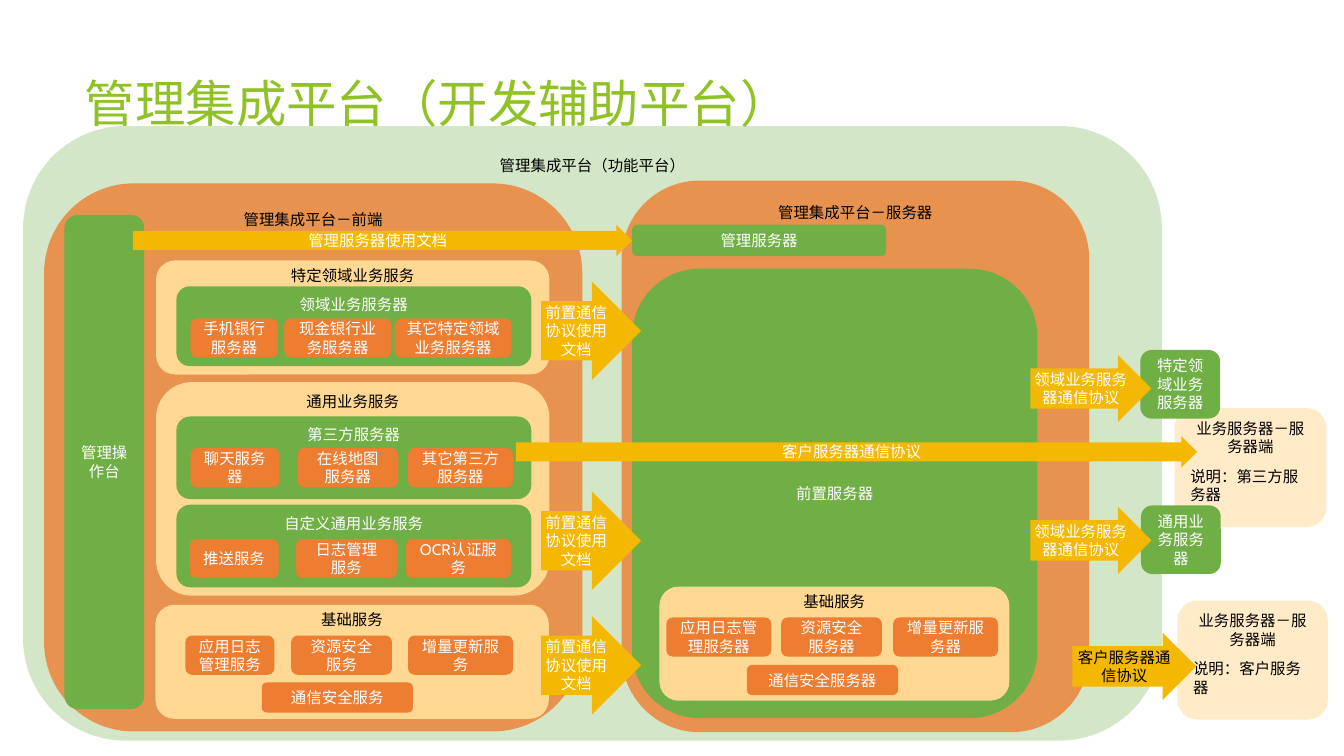
from lxml.etree import SubElement
from pptx import Presentation
from pptx.dml.color import RGBColor
from pptx.enum.shapes import MSO_SHAPE as Shape
from pptx.enum.text import MSO_ANCHOR as Anchor, MSO_AUTO_SIZE as AutoSize, PP_ALIGN as Align
from pptx.oxml.ns import qn
from pptx.util import Pt

FONT = "Cabin"
TITLE = "管理集成平台（开发辅助平台）"
WHITE, BLACK = "FFFFFF", "000000"
GREEN, ORANGE, CREAM, GOLD = "70AE46", "ED7D31", "FFD993", "F4B802"

# style: fill, opacity in percent, text colour, anchor, zero insets
STYLES = {
    "platform": (GREEN, 30, BLACK, Anchor.TOP, True),
    "side": (ORANGE, 80, BLACK, Anchor.TOP, True),
    "panel": (CREAM, 100, BLACK, Anchor.TOP, True),
    "group": (GREEN, 100, WHITE, Anchor.TOP, False),
    "server": (GREEN, 100, WHITE, Anchor.MIDDLE, False),
    "external": (CREAM, 50, BLACK, Anchor.TOP, False),
    "tile": (ORANGE, 100, WHITE, Anchor.MIDDLE, False),
    "arrow": (GOLD, 100, WHITE, Anchor.MIDDLE, True),
    "dark arrow": (GOLD, 100, BLACK, Anchor.MIDDLE, True),
}

# style, left, top, width, height, text
BOXES = [
    ("platform", 16.5, 90, 813.5, 439, "管理集成平台（功能平台）"),
    ("side", 31.5, 131, 384.5, 391.5, "管理集成平台－前端"),
    ("side", 444, 129, 334, 394, "管理集成平台－服务器"),
    ("server", 46, 153.5, 57, 353, "管理操作台"),
    ("panel", 111.5, 186, 281, 81.5, "特定领域业务服务"),
    ("group", 126, 204.5, 253.5, 57, "领域业务服务器"),
    ("panel", 111.5, 273, 281, 152.5, "通用业务服务"),
    ("group", 126, 297.5, 253.5, 59, "第三方服务器"),
    ("group", 126, 360.5, 253.5, 59, "自定义通用业务服务"),
    ("panel", 111, 432, 281, 81.5, "基础服务"),
    ("server", 451.5, 192, 289.5, 321, "前置服务器"),
    ("server", 451.5, 160.5, 181.5, 22.5, "管理服务器"),
    ("panel", 471, 419, 250, 81.5, "基础服务"),
    ("external", 839, 291.5, 108.5, 85, "业务服务器－服务器端\n说明：第三方服务器"),
    ("external", 841, 429, 107.5, 85, "业务服务器－服务器端\n说明：客户服务器"),
    ("server", 814.5, 250, 57, 49, "特定领域业务服务器"),
    ("server", 815, 361, 57, 49, "通用业务服务器"),
]

# top, height, then (left, width, text) for each tile
TILE_ROWS = [
    (227.5, 28, [(136, 62.5, "手机银行服务器"), (203, 76.5, "现金银行业务服务器"),
                 (282, 83.5, "其它特定领域业务服务器")]),
    (320, 28, [(136, 63.5, "聊天服务器"), (212.5, 72, "在线地图服务器"),
               (291.5, 75, "其它第三方服务器")]),
    (385, 28, [(135.5, 63.5, "推送服务"), (211.5, 72, "日志管理服务"),
               (290, 75, "OCR认证服务")]),
    (454, 28, [(132.5, 63.5, "应用日志管理服务"), (208, 72, "资源安全服务"),
               (291.5, 75, "增量更新服务")]),
    (487.5, 21.5, [(187, 108, "通信安全服务")]),
    (441, 28, [(476, 75, "应用日志管理服务器"), (558, 72, "资源安全服务器"),
               (638, 75, "增量更新服务器")]),
    (475, 21.5, [(533.5, 108, "通信安全服务器")]),
]

# style, left, width, height, text, tops
ARROWS = [
    ("arrow", 95, 356.5, 22.5, "管理服务器使用文档", [160.5]),
    ("arrow", 386.5, 71.5, 70.5, "前置通信协议使用文档", [201, 351, 440]),
    ("arrow", 736, 86.5, 48, "领域业务服务器通信协议", [253.5, 362]),
    ("dark arrow", 766, 88.5, 48, "客户服务器通信协议", [452]),
    ("arrow", 368.5, 486.5, 22.5, "客户服务器通信协议", [311.5]),
]


def paint(color_format, value):
    color_format.rgb = RGBColor.from_string(value)


def format_font(para, size, color):
    for span in para.runs:
        span.font.name = FONT
        span.font.size = Pt(size)
        paint(span.font.color, color)


def add_box(page, style, left, top, width, height, text, kind=Shape.ROUNDED_RECTANGLE):
    fill, opacity, color, anchor, no_insets = STYLES[style]
    box = page.shapes.add_shape(kind, Pt(left), Pt(top), Pt(width), Pt(height))
    box.shadow.inherit = False
    box.line.fill.background()
    box.fill.solid()
    paint(box.fill.fore_color, fill)
    if opacity < 100:
        color_node = box.fill._xPr.find(qn("a:solidFill"))[0]
        SubElement(color_node, qn("a:alpha")).set("val", str(opacity * 1000))
    frame = box.text_frame
    frame.text = text
    frame.word_wrap = True
    frame.vertical_anchor = anchor
    if no_insets:
        frame.margin_left = frame.margin_right = frame.margin_top = frame.margin_bottom = 0
    for index, para in enumerate(frame.paragraphs):
        para.alignment = Align.LEFT if index else Align.CENTER
        if index:
            para.space_before = Pt(8)
        format_font(para, 11, color)
    return box


def add_title(page):
    title = page.shapes.title
    title.left, title.top, title.width, title.height = Pt(53.5), Pt(48), Pt(750), Pt(104)
    frame = title.text_frame
    frame.text = TITLE
    frame.word_wrap = True
    frame.auto_size = AutoSize.NONE
    frame.vertical_anchor = Anchor.TOP
    frame.paragraphs[0].alignment = Align.LEFT
    format_font(frame.paragraphs[0], 36, "90C226")


def main():
    deck = Presentation()
    deck.slide_width, deck.slide_height = Pt(960), Pt(540)
    page = deck.slides.add_slide(deck.slide_layouts[5])
    add_title(page)
    for box in BOXES:
        add_box(page, *box)
    for top, height, tiles in TILE_ROWS:
        for left, width, text in tiles:
            add_box(page, "tile", left, top, width, height, text)
    for style, left, width, height, text, tops in ARROWS:
        for top in tops:
            arrow = add_box(page, style, left, top, width, height, text, Shape.RIGHT_ARROW)
            arrow.adjustments[0] = 0.6
            arrow.adjustments[1] = 0.5
    deck.save("out.pptx")


if __name__ == "__main__":
    main()
